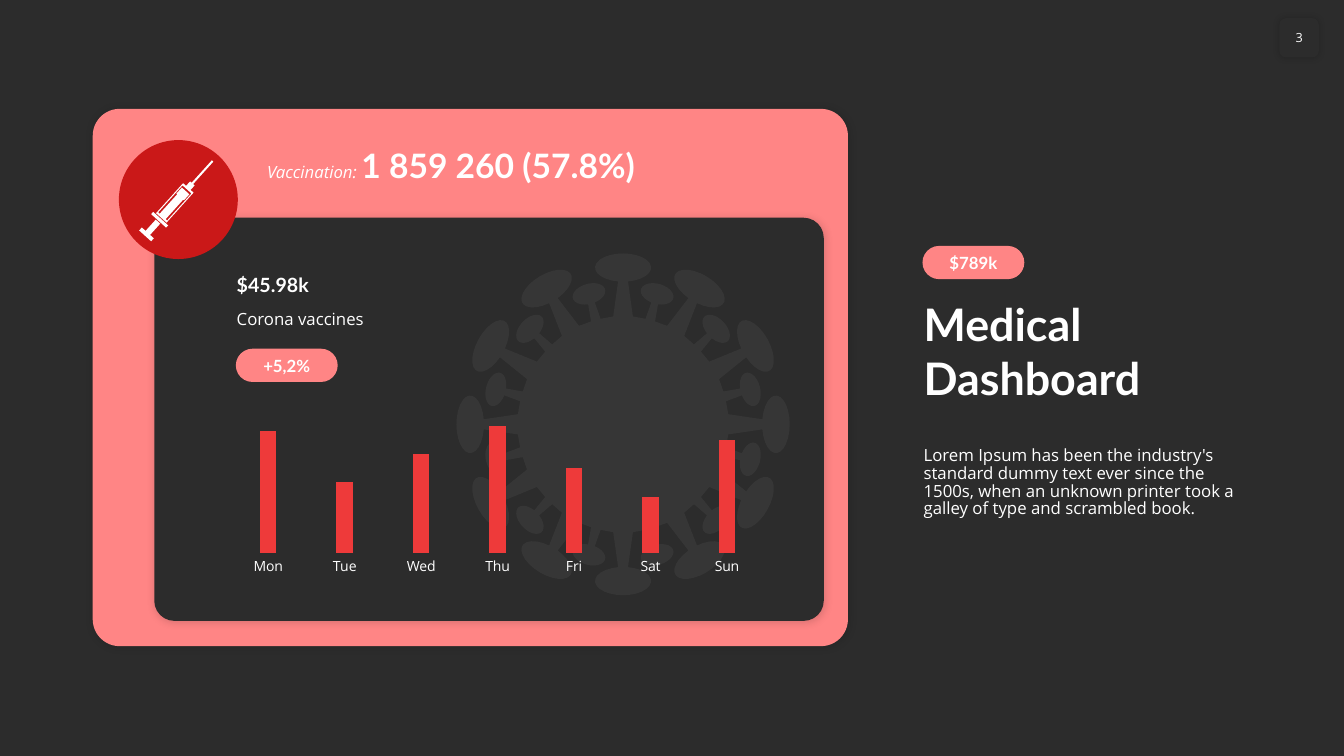
from math import asin, cos, pi, radians, sin

from lxml import etree
from pptx import Presentation
from pptx import util as u
from pptx.chart import data
from pptx.dml.color import RGBColor
from pptx.enum import chart as kinds, shapes, text
from pptx.oxml import ns

DARK = RGBColor(0x2C, 0x2C, 0x2C)
WHITE = RGBColor(0xFF, 0xFF, 0xFF)
PINK = RGBColor(0xFF, 0x85, 0x85)
CRIMSON = RGBColor(0xCA, 0x18, 0x18)
RED = RGBColor(0xEE, 0x3A, 0x3A)
HEAD, BODY = "Lato", "Open Sans"
WIDE, HIGH = u.Inches(13.33), u.Inches(7.5)
ROUND = shapes.MSO_SHAPE.ROUNDED_RECTANGLE
OVAL = shapes.MSO_SHAPE.OVAL
TOP, MID, LOW = text.MSO_ANCHOR.TOP, text.MSO_ANCHOR.MIDDLE, text.MSO_ANCHOR.BOTTOM


def area(left, top, width, height):
    return (int(WIDE * left / 100), int(HIGH * top / 100),
            int(WIDE * width / 100), int(HIGH * height / 100))


def child(parent, tag, **attrs):
    return etree.SubElement(parent, ns.qn(tag), {k: str(v) for k, v in attrs.items()})


def paint(shape, color, alpha=None):
    shape.shadow.inherit = False
    shape.fill.solid()
    shape.fill.fore_color.rgb = color
    shape.line.fill.background()
    if alpha:
        tint = shape.fill._xPr.find(".//" + ns.qn("a:srgbClr"))
        child(tint, "a:alpha", val=alpha * 1000)


def shade(shape, alpha, blur, dist):
    effect = shape._element.spPr.find(ns.qn("a:effectLst"))
    cast = child(effect, "a:outerShdw", blurRad=u.Pt(blur), dist=u.Pt(dist),
                 dir=45 * 60000, algn="tl", rotWithShape=0)
    tint = child(cast, "a:srgbClr", val="000000")
    child(tint, "a:alpha", val=alpha * 1000)


def form(slide, kind, place, color, round_by=None):
    shape = slide.shapes.add_shape(kind, *area(*place))
    paint(shape, color)
    if round_by is not None:
        shape.adjustments[0] = round_by
    return shape


def write(shape, runs, anchor=TOP, center=False, inset=None, pitch=None, wrap=True):
    frame = shape.text_frame
    frame.word_wrap = wrap
    frame.auto_size = text.MSO_AUTO_SIZE.NONE
    frame.vertical_anchor = anchor
    if inset is not None:
        frame.margin_left = frame.margin_right = 0
        frame.margin_top = frame.margin_bottom = u.Inches(inset)
    para = frame.paragraphs[0]
    para.alignment = text.PP_ALIGN.CENTER if center else text.PP_ALIGN.LEFT
    para.space_before = u.Pt(0)
    if pitch:
        para.line_spacing = pitch
    for words, face, size, italic in runs:
        run = para.add_run()
        run.text = words
        font = run.font
        font.name, font.size, font.color.rgb = face, u.Pt(size), WHITE
        font.bold, font.italic = face == HEAD, italic


def label(slide, place, runs, **style):
    write(slide.shapes.add_textbox(*area(*place)), runs, **style)


def hold(shape, place, words, face, size, **style):
    shape.left, shape.top, shape.width, shape.height = area(*place)
    write(shape, [(words, face, size, False)], **style)


def pill(slide, left, top, words):
    shape = form(slide, ROUND, (left, top, 7.58, 4.4), PINK, 0.5)
    write(shape, [(words, HEAD, 12, False)], MID, True, 0)


def outline(slide, loops, color, alpha=None):
    first, *rest = loops
    pen = slide.shapes.build_freeform(*first[0], scale=1.0)
    pen.add_line_segments(first[1:], close=True)
    for loop in rest:
        pen.move_to(*loop[0])
        pen.add_line_segments(loop[1:], close=True)
    paint(pen.convert_to_shape(), color, alpha)


def spike(base, neck, reach, half, thick):
    start = asin(neck / half)
    arc = [start + (2 * pi - 2 * start) * i / 24 for i in range(25)]
    crown = [(-half * sin(a), reach - thick * cos(a)) for a in arc]
    return [(-base, 1.07)] + crown + [(base, 1.07)]


def virus(slide, left, top):
    x0, y0, _, _ = area(left, top, 0, 0)
    large = spike(0.1, 0.05, 1.555, 0.285, 0.14)
    small = spike(0.05, 0.035, 1.34, 0.17, 0.1)
    loop = []
    for step in range(24):
        turn = radians(15 * step)
        for across, out in small if step % 2 else large:
            x = out * sin(turn) + across * cos(turn)
            y = across * sin(turn) - out * cos(turn)
            loop.append((x0 + u.Inches(0.975 * x), y0 + u.Inches(y)))
    outline(slide, [loop], WHITE, 5)


def syringe(slide, left, top):
    x0, y0, _, _ = area(left, top, 0, 0)
    turn = radians(48)
    thumb, rod, flange = (0, 0.04, 0.08), (0.04, 0.19, 0.03), (0.2, 0.23, 0.1)
    barrel, hollow = (0.24, 0.64, 0.07), (0.26, 0.62, 0.06)
    piston, fluid = (0.26, 0.52, 0.04), (0.52, 0.6, 0.05)
    hub, needle = (0.64, 0.7, 0.03), (0.7, 1, 0.01)
    loops = []
    for near, far, half in (thumb, rod, flange, barrel, hollow, piston, fluid, hub, needle):
        box = [(near, -half), (far, -half), (far, half), (near, half)]
        loops.append([(x0 + u.Inches(t * cos(turn) + n * sin(turn)),
                       y0 + u.Inches(n * cos(turn) - t * sin(turn))) for t, n in box])
    outline(slide, loops, WHITE)


def bars(slide, place):
    week = data.CategoryChartData()
    week.categories = ["Mon", "Tue", "Wed", "Thu", "Fri", "Sat", "Sun"]
    week.add_series("Series 1", (96, 56, 78, 100, 67, 44, 89))
    chart = slide.shapes.add_chart(kinds.XL_CHART_TYPE.COLUMN_CLUSTERED,
                                   *area(*place), week).chart
    chart.has_legend = chart.has_title = False
    chart.font.name, chart.font.size = BODY, u.Pt(12)
    chart.font.color.rgb = WHITE
    days, scale = chart.category_axis, chart.value_axis
    days.major_tick_mark = kinds.XL_TICK_MARK.NONE
    days.format.line.fill.background()
    font = days.tick_labels.font
    font.name, font.size, font.color.rgb = BODY, u.Pt(10), WHITE
    scale.minimum_scale, scale.maximum_scale = 0, 100
    scale.has_major_gridlines = scale.visible = False
    plot = chart.plots[0]
    plot.gap_width, plot.overlap, plot.vary_by_categories = 360, -30, False
    fill = plot.series[0].format.fill
    fill.solid()
    fill.fore_color.rgb = RED
    region = chart._chartSpace.chart.plotArea
    for old in region.findall(ns.qn("c:layout")):
        region.remove(old)
    layout = etree.Element(ns.qn("c:layout"))
    region.insert(0, layout)
    manual = child(layout, "c:manualLayout")
    for tag, val in (("layoutTarget", "inner"), ("xMode", "edge"), ("yMode", "edge"),
                     ("x", 0.02), ("y", 0.1), ("w", 0.96), ("h", 0.75)):
        child(manual, "c:" + tag, val=val)


def main():
    deck = Presentation()
    deck.slide_width, deck.slide_height = WIDE, HIGH
    slide = deck.slides.add_slide(deck.slide_layouts[1])
    slide.background.fill.solid()
    slide.background.fill.fore_color.rgb = DARK

    card = form(slide, ROUND, (6.9, 14.4, 56.19, 71.07), PINK, 0.05)
    shade(card, 15, 6, 1)
    page = form(slide, ROUND, (95.2, 2.4, 2.93, 5.2), DARK)
    shade(page, 20, 5, 0)
    write(page, [("3", BODY, 9, False)], MID, True, 0.05, wrap=False)

    hold(slide.shapes.title, (67.97, 38.4, 25.21, 15.73),
         "Medical Dashboard", HEAD, 32, anchor=LOW)
    story = slide.placeholders[1]
    props = story.text_frame.paragraphs[0]._p.get_or_add_pPr()
    props.set("marL", "0")
    props.set("indent", "0")
    child(props, "a:buNone")
    hold(story, (67.97, 58.53, 25.21, 12.13),
         "Lorem Ipsum has been the industry's standard dummy text ever since the 1500s, "
         "when an unknown printer took a galley of type and scrambled book.",
         BODY, 12, pitch=0.88)
    pill(slide, 68.64, 32.53, "$789k")

    panel = form(slide, ROUND, (11.48, 28.8, 49.81, 53.33), DARK, 0.05)
    shade(panel, 15, 6, 1)
    label(slide, (19.13, 18.53, 39.16, 6.67),
          [("Vaccination: ", BODY, 12, True), ("1 859 260 (57.8%)", HEAD, 24, False)])
    form(slide, OVAL, (8.85, 18.53, 8.85, 15.73), CRIMSON)
    syringe(slide, 10.8, 31.2)
    label(slide, (16.88, 35.33, 37.58, 4.53), [("$45.98k", HEAD, 14, False)], anchor=LOW)
    label(slide, (16.88, 40.53, 37.58, 4), [("Corona vaccines", BODY, 12, False)], pitch=0.88)
    pill(slide, 17.55, 46.13, "+5,2%")
    virus(slide, 46.36, 56.13)
    bars(slide, (16.28, 54.13, 41.49, 22.4))
    deck.save("out.pptx")


if __name__ == "__main__":
    main()
